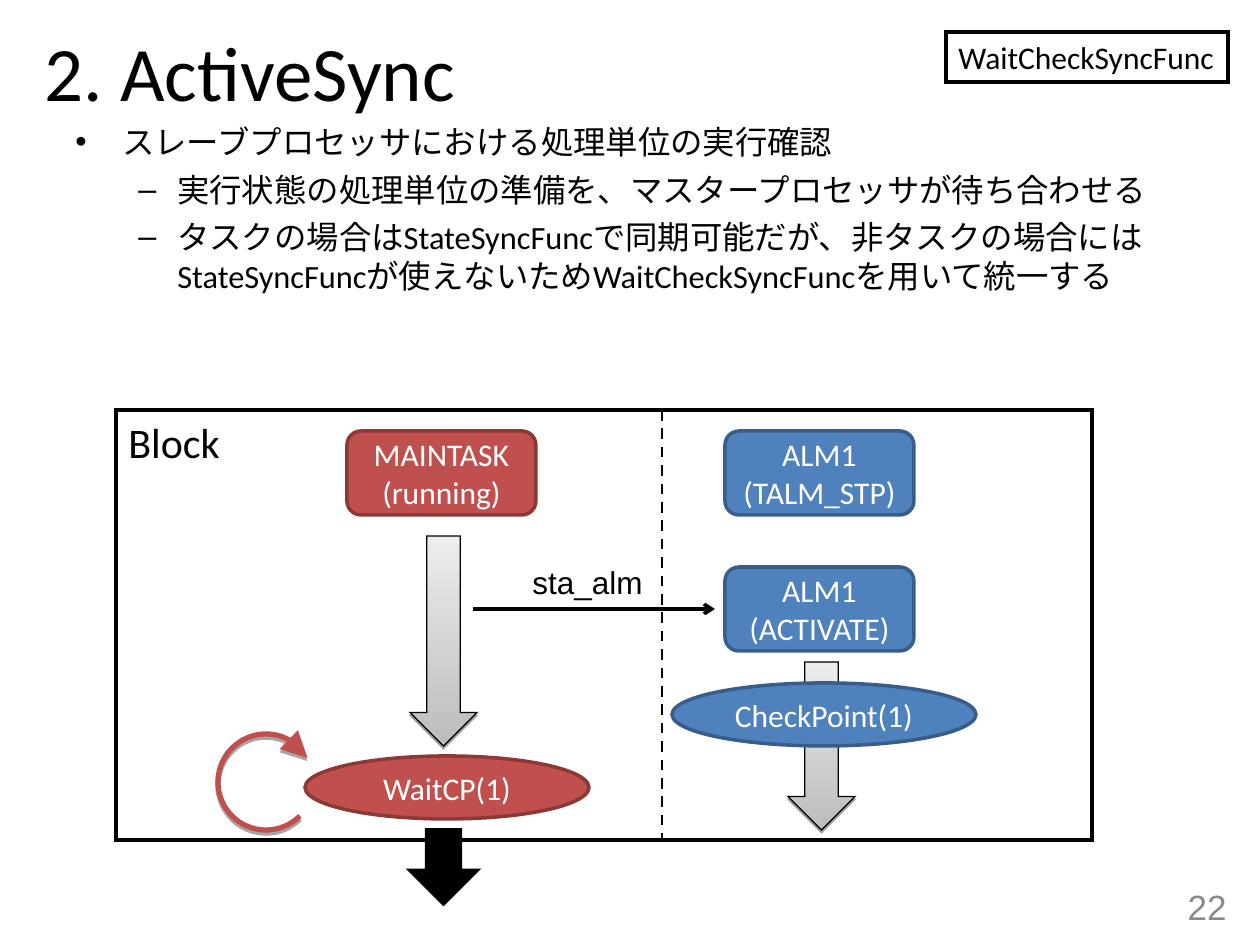
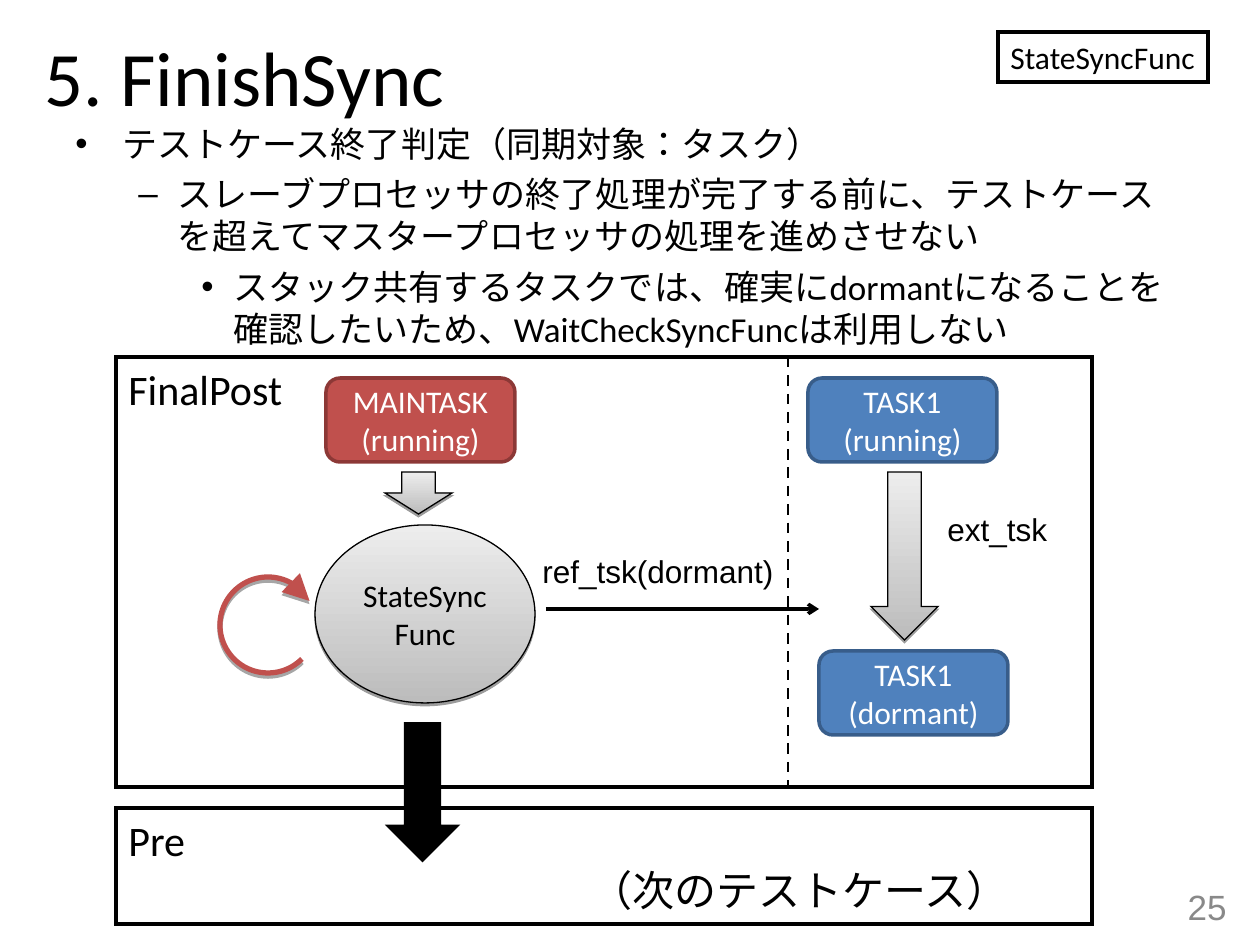
from dataclasses import dataclass

from lxml import etree
from pptx import Presentation
from pptx.dml.color import RGBColor
from pptx.enum.dml import MSO_LINE
from pptx.enum.lang import MSO_LANGUAGE_ID
from pptx.enum.shapes import MSO_CONNECTOR, MSO_SHAPE
from pptx.enum.text import MSO_ANCHOR, MSO_AUTO_SIZE, PP_ALIGN
from pptx.oxml.ns import qn
from pptx.util import Pt

RECTANGLE, ROUNDED, ELLIPSE = MSO_SHAPE.RECTANGLE, MSO_SHAPE.ROUNDED_RECTANGLE, MSO_SHAPE.OVAL
DOWN_ARROW, ARC = MSO_SHAPE.DOWN_ARROW, MSO_SHAPE.ARC
STRAIGHT, DASH = MSO_CONNECTOR.STRAIGHT, MSO_LINE.DASH
LEFT, CENTER, RIGHT = PP_ALIGN.LEFT, PP_ALIGN.CENTER, PP_ALIGN.RIGHT
TOP, MIDDLE = MSO_ANCHOR.TOP, MSO_ANCHOR.MIDDLE
FIT_SHAPE = MSO_AUTO_SIZE.SHAPE_TO_FIT_TEXT
JAPANESE = MSO_LANGUAGE_ID.JAPANESE

EMU_PER_PX = 914400 / 126
EMU_PER_POINT = 12700
TITLE_ONLY = 5


@dataclass(frozen=True)
class Theme:
    heading_font: str = "Calibri"
    label_font: str = "Arial"
    black: str = "000000"
    white: str = "FFFFFF"
    gray: str = "898989"
    red: tuple = ("C0504D", "8C3836")
    blue: tuple = ("4F81BD", "385D8A")
    gradient: tuple = ("BCBCBC", "EDEDED")
    title_size: float = 44
    frame_size: float = 24
    number_size: float = 20
    part_size: float = 18
    space_before: float = 5
    thin: float = 0.75
    dashed: float = 1.5
    line: float = 2
    loop: float = 3


THEME = Theme()

# Bullet character, left margin and hanging indent of each list level
LEVELS = [("•", 47, 47), ("–", 102, 39), ("•", 158, 32)]
NODE_SIZE = (189, 84)
ARROW_WIDTH = 67
LOOP_SIZE = 96
LABEL_HEIGHT = 50


def px(length):
    return round(length * EMU_PER_PX)


def color(value):
    return RGBColor.from_string(value)


# Text helpers
def style(paragraph, size, ink=THEME.black, font=THEME.heading_font, align=LEFT):
    paragraph.alignment = align
    paragraph.font.size = Pt(size)
    paragraph.font.name = font
    paragraph.font.color.rgb = color(ink)


def write(shape, lines, size, anchor=TOP, wrap=True, **look):
    frame = shape.text_frame
    frame.text = "\n".join(lines)
    frame.vertical_anchor = anchor
    frame.word_wrap = wrap
    if not wrap:
        frame.auto_size = FIT_SHAPE
    for paragraph in frame.paragraphs:
        style(paragraph, size, **look)


def write_japanese(paragraph, text):
    run = paragraph.add_run()
    run.text = text
    run.font.language_id = JAPANESE


def indent(paragraph, margin, hanging=0):
    properties = paragraph._p.get_or_add_pPr()
    properties.set("marL", str(px(margin)))
    properties.set("indent", str(-px(hanging)))
    return properties


# Shape helpers
def outline(line, ink, width):
    line.color.rgb = color(ink)
    line.width = Pt(width)


def add_arrowhead(line, kind, size="med"):
    etree.SubElement(line._get_or_add_ln(), qn("a:tailEnd"), type=kind, w=size, len=size)


def add_shadow(shape, distance, opacity):
    effects = shape._element.spPr.find(qn("a:effectLst"))
    shadow = etree.SubElement(effects, qn("a:outerShdw"), blurRad="0",
                              dist=str(round(distance * EMU_PER_POINT)), dir="5400000",
                              algn="ctr", rotWithShape="0")
    ink = etree.SubElement(shadow, qn("a:srgbClr"), val=THEME.black)
    etree.SubElement(ink, qn("a:alpha"), val=str(opacity * 1000))


def add_part(slide, kind, box, fill, border, width=THEME.line):
    shape = slide.shapes.add_shape(kind, *map(px, box))
    shape.shadow.inherit = False
    if fill is None:
        shape.fill.background()
    elif fill == THEME.gradient:
        shape.fill.gradient()
        shape.fill.gradient_angle = 90
        for stop, shade in zip(shape.fill.gradient_stops, fill):
            stop.color.rgb = color(shade)
        add_shadow(shape, 1.6, 38)
    else:
        shape.fill.solid()
        shape.fill.fore_color.rgb = color(fill)
    outline(shape.line, border, width)
    etree.SubElement(shape.line._get_or_add_ln(), qn("a:miter"), lim="800000")
    return shape


def add_line(slide, start, end, width):
    connector = slide.shapes.add_connector(STRAIGHT, *map(px, start + end))
    etree.SubElement(connector._element.spPr, qn("a:effectLst"))
    outline(connector.line, THEME.black, width)
    return connector


class Block:
    """A framed region whose parts are placed relative to its top left corner."""

    def __init__(self, slide, box, name):
        self.slide = slide
        self.left, self.top, self.width, self.height = box
        self.frame = add_part(slide, RECTANGLE, box, THEME.white, THEME.black)
        write(self.frame, [name], THEME.frame_size)

    def at(self, x, y, *size):
        return (self.left + x, self.top + y) + size

    def node(self, x, y, lines, colors):
        shape = add_part(self.slide, ROUNDED, self.at(x, y, *NODE_SIZE), *colors)
        write(shape, lines, THEME.part_size, MIDDLE, ink=THEME.white, align=CENTER)

    def ellipse(self, x, y, width, height, text, colors):
        shape = add_part(self.slide, ELLIPSE, self.at(x, y, width, height), *colors)
        write(shape, [text], THEME.part_size, MIDDLE, ink=THEME.white, align=CENTER)

    def gray_ellipse(self, x, y, width, height, text):
        shape = add_part(self.slide, ELLIPSE, self.at(x, y, width, height),
                         THEME.gradient, THEME.black, THEME.thin)
        write(shape, [text], THEME.part_size, MIDDLE, align=CENTER)

    def flow_arrow(self, x, y, height):
        add_part(self.slide, DOWN_ARROW, self.at(x, y, ARROW_WIDTH, height),
                 THEME.gradient, THEME.black, THEME.thin)

    def exit_arrow(self, x, y, height):
        add_part(self.slide, DOWN_ARROW, self.at(x, y, ARROW_WIDTH, height),
                 THEME.black, THEME.black)

    def wait_loop(self, x, y):
        arc = add_part(self.slide, ARC, self.at(x, y, LOOP_SIZE, LOOP_SIZE),
                       None, THEME.red[0], THEME.loop)
        # Angles in units of 100000/60000 degree: from 45 clockwise to 330 degrees
        for index, degrees in enumerate((45, 330)):
            arc.adjustments[index] = degrees * 0.6
        add_arrowhead(arc.line, "triangle", "lg")
        add_shadow(arc, 1.8, 35)

    def call_arrow(self, x, y, length):
        line = add_line(self.slide, self.at(x, y), self.at(x + length, y), THEME.line)
        add_arrowhead(line.line, "arrow")

    def label(self, x, y, width, text):
        box = self.slide.shapes.add_textbox(*map(px, self.at(x, y, width, LABEL_HEIGHT)))
        write(box, [text], THEME.part_size, wrap=False, font=THEME.label_font)

    def divider(self, x):
        line = add_line(self.slide, self.at(x, 0), self.at(x, self.height), THEME.dashed)
        line.line.dash_style = DASH


# Parts shared by the slides
def add_titled_slide(presentation, title, top, number):
    slide = presentation.slides.add_slide(presentation.slide_layouts[TITLE_ONLY])
    heading = slide.shapes.title
    heading.left, heading.top, heading.width, heading.height = map(px, (32, top, 1134, 110))
    write(heading, [title], THEME.title_size, MIDDLE)
    footer = slide.shapes.add_textbox(*map(px, (945, 882, 294, 50)))
    write(footer, [number], THEME.number_size, MIDDLE,
          ink=THEME.gray, font=THEME.label_font, align=RIGHT)
    return slide


def add_function_tag(slide, left, width, text):
    tag = add_part(slide, RECTANGLE, (left, 32, width, 50), THEME.white, THEME.black)
    write(tag, [text], THEME.part_size, wrap=False)


def add_bullets(slide, box, size, items):
    frame = slide.shapes.add_textbox(*map(px, box)).text_frame
    frame.word_wrap = True
    for index, (level, text) in enumerate(items):
        paragraph = frame.add_paragraph() if index else frame.paragraphs[0]
        write_japanese(paragraph, text)
        paragraph.level = level
        paragraph.space_before = Pt(THEME.space_before if index else 0)
        character, margin, hanging = LEVELS[level]
        properties = indent(paragraph, margin, hanging)
        etree.SubElement(properties, qn("a:buFont"), typeface=THEME.label_font)
        etree.SubElement(properties, qn("a:buChar"), char=character)
        style(paragraph, size)


# Slides
def build_active_sync(presentation):
    slide = add_titled_slide(presentation, "2. ActiveSync", 16, "22")
    add_function_tag(slide, 946, 282, "WaitCheckSyncFunc")
    add_bullets(slide, (63, 116, 1134, 252), 18.5, [
        (0, "スレーブプロセッサにおける処理単位の実行確認"),
        (1, "実行状態の処理単位の準備を、マスタープロセッサが待ち合わせる"),
        (1, "タスクの場合はStateSyncFuncで同期可能だが、非タスクの場合には"
            "StateSyncFuncが使えないためWaitCheckSyncFuncを用いて統一する"),
    ])

    block = Block(slide, (116, 410, 976, 430), "Block")
    block.divider(546)
    # Master processor
    block.node(231, 21, ["MAINTASK", "(running)"], THEME.red)
    block.flow_arrow(294, 126, 210)
    block.wait_loop(102, 324)
    block.exit_arrow(294, 420, 74)
    block.ellipse(189, 346, 284, 63, "WaitCP(1)", THEME.red)
    # Slave processor
    block.node(609, 21, ["ALM1", "(TALM_STP)"], THEME.blue)
    block.node(609, 157, ["ALM1", "(ACTIVATE)"], THEME.blue)
    block.flow_arrow(672, 252, 168)
    block.ellipse(556, 273, 304, 63, "CheckPoint(1)", THEME.blue)
    # Call between the processors
    block.call_arrow(357, 199, 242)
    block.label(404, 147, 142, "sta_alm")


def build_finish_sync(presentation):
    slide = add_titled_slide(presentation, "5. FinishSync", 21, "25")
    add_function_tag(slide, 998, 210, "StateSyncFunc")
    add_bullets(slide, (63, 116, 1134, 242), 20, [
        (0, "テストケース終了判定（同期対象：タスク）"),
        (1, "スレーブプロセッサの終了処理が完了する前に、テストケース"
            "を超えてマスタープロセッサの処理を進めさせない"),
        (2, "スタック共有するタスクでは、確実にdormantになることを"
            "確認したいため、WaitCheckSyncFuncは利用しない"),
    ])

    # Next test case
    next_case = Block(slide, (116, 808, 976, 116), "Pre")
    paragraph = next_case.frame.text_frame.add_paragraph()
    write_japanese(paragraph, "（次のテストケース）")
    indent(paragraph, 462)
    style(paragraph, THEME.frame_size)

    block = Block(slide, (116, 357, 976, 430), "FinalPost")
    block.divider(672)
    # Master processor
    block.node(210, 21, ["MAINTASK", "(running)"], THEME.red)
    block.flow_arrow(269, 115, 42)
    block.wait_loop(104, 220)
    block.exit_arrow(273, 367, 136)
    block.gray_ellipse(199, 168, 220, 178, "StateSyncFunc")
    # Slave processor
    block.node(692, 21, ["TASK1", "(running)"], THEME.blue)
    block.flow_arrow(755, 115, 168)
    block.label(819, 147, 130, "ext_tsk")
    block.node(703, 294, ["TASK1", "(dormant)"], THEME.blue)
    # Call between the processors
    block.call_arrow(430, 252, 273)
    block.label(414, 189, 260, "ref_tsk(dormant)")


def main():
    presentation = Presentation()
    presentation.slide_width, presentation.slide_height = px(1260), px(945)
    build_active_sync(presentation)
    build_finish_sync(presentation)
    presentation.save("out.pptx")


if __name__ == "__main__":
    main()
